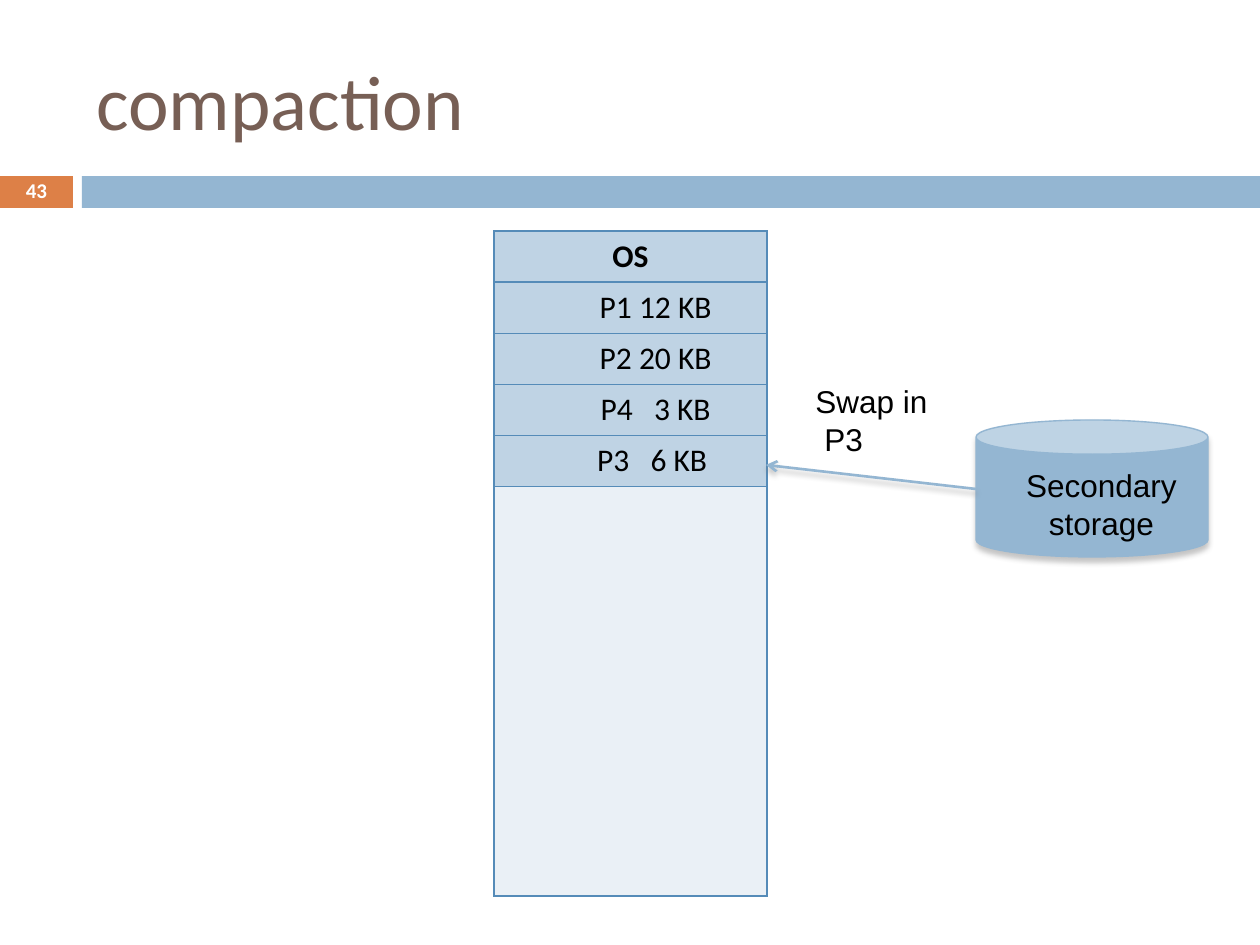
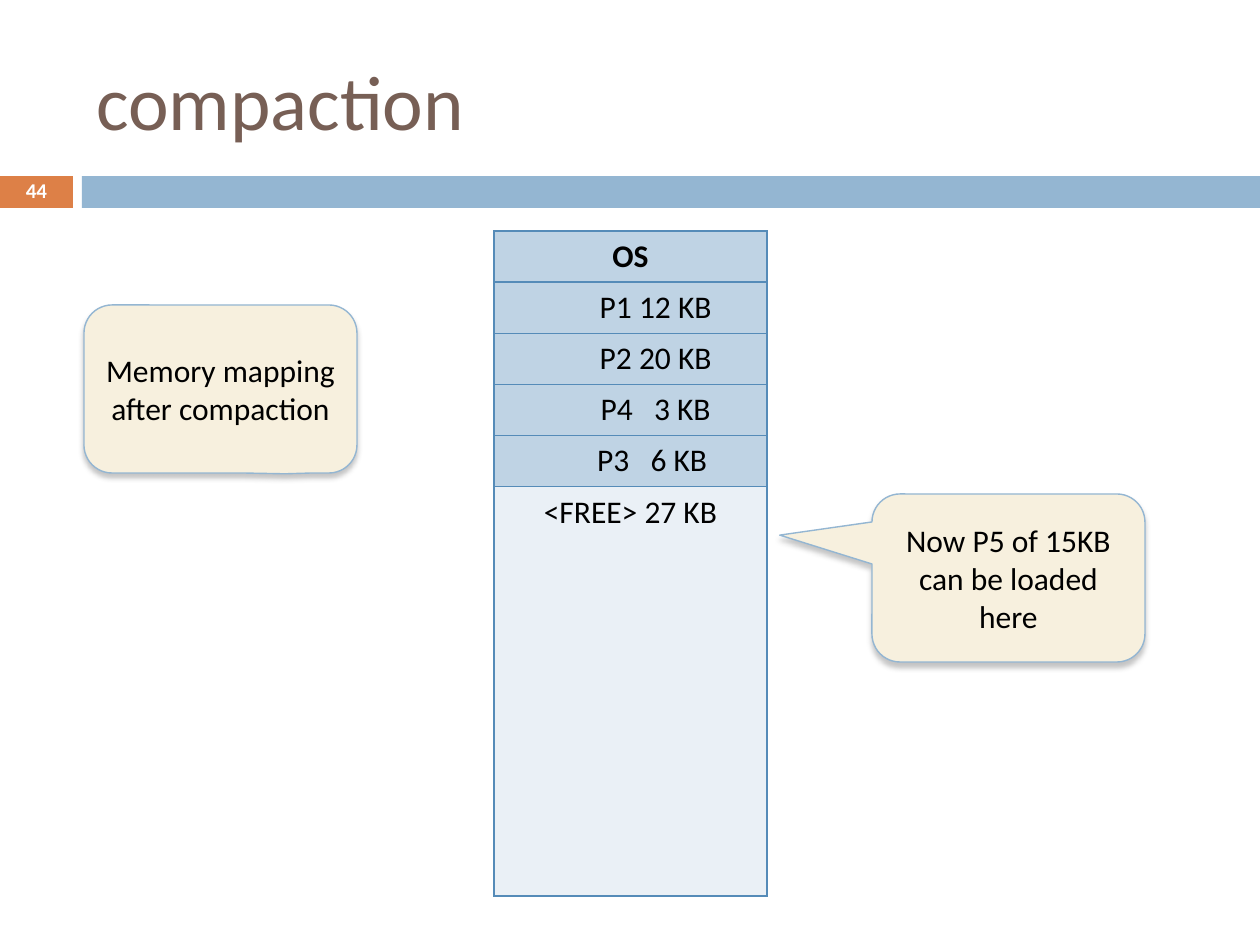
import pptx
import pptx.util
import pptx.oxml
from pptx.dml.color import RGBColor
from pptx.enum.shapes import MSO_CONNECTOR, MSO_SHAPE
from pptx.enum.text import MSO_ANCHOR, PP_ALIGN
from pptx.oxml.ns import qn

ORANGE = RGBColor(0xDD, 0x80, 0x47)
BLUE = RGBColor(0x94, 0xB6, 0xD2)
BROWN = RGBColor(0x77, 0x5F, 0x55)
CREAM = RGBColor(0xF7, 0xF0, 0xDE)
USED = RGBColor(0xBF, 0xD3, 0xE4)
FREE = RGBColor(0xEA, 0xF0, 0xF6)
BORDER = RGBColor(0x55, 0x8B, 0xB8)
BLACK = RGBColor(0, 0, 0)
WHITE = RGBColor(255, 255, 255)
NS = 'xmlns:a="http://schemas.openxmlformats.org/drawingml/2006/main"'
NO_STYLE = "{2D5ABB26-0587-4C30-8999-92F81FD0307C}"

TITLE = "compaction"
PROCESSES = [("P1", "12 KB", 50, 0), ("P2", "20 KB", 50, 0),
             ("P4", "3 KB", 50, 8), ("P3", "6 KB", 43, 8)]
ROWS = 13
MEMORY_BOX = (494, 231, 273, 665)
SLIDES = [
    dict(number=43, free="", swap=True, callouts=[]),
    dict(number=44, free="<FREE> 27 KB", swap=False, callouts=[
        ("Memory mapping after compaction", (84, 305, 273, 168), (0.236, 0.505)),
        ("Now P5 of 15KB can be loaded here", (872, 494, 273, 168), (-0.838, -0.255)),
    ]),
]


def px(n):
    return pptx.util.Emu(round(n * 914400 / 126))


def place(box):
    return [px(n) for n in box]


def style(p, size=18, color=BLACK, font="Calibri", bold=False, align=PP_ALIGN.CENTER):
    p.alignment = align
    for r in p.runs:
        r.font.size = pptx.util.Pt(size)
        r.font.name = font
        r.font.bold = bold
        r.font.color.rgb = color


def add_text(s, box, text, anchor=MSO_ANCHOR.TOP, **look):
    tf = s.shapes.add_textbox(*place(box)).text_frame
    tf.word_wrap = True
    tf.vertical_anchor = anchor
    tf.text = text
    for p in tf.paragraphs:
        style(p, **look)
    return tf


def add_shape(s, kind, box, fill, line=None):
    sp = s.shapes.add_shape(kind, *place(box))
    sp.shadow.inherit = False
    sp.fill.solid()
    sp.fill.fore_color.rgb = fill
    if line is None:
        sp.line.fill.background()
    else:
        sp.line.color.rgb = line
        sp.line.width = pptx.util.Pt(0.79)
    return sp


def add_shadow(sp):
    spPr = sp._element.spPr
    for old in spPr.findall(qn("a:effectLst")):
        spPr.remove(old)
    spPr.append(pptx.oxml.parse_xml(
        f'<a:effectLst {NS}><a:outerShdw blurRad="38100" dist="30480" dir="5400000" rotWithShape="0">'
        '<a:srgbClr val="808080"><a:alpha val="45000"/></a:srgbClr></a:outerShdw></a:effectLst>'))


def set_borders(cell, sides):
    tcPr = cell._tc.get_or_add_tcPr()
    for side in "LRTB":
        fill = (f'<a:solidFill><a:srgbClr val="{BORDER}"/></a:solidFill>'
                if side in sides else "<a:noFill/>")
        tcPr.append(pptx.oxml.parse_xml(f'<a:ln{side} {NS} w="12700">{fill}</a:ln{side}>'))


def add_frame(s, number):
    add_shape(s, MSO_SHAPE.RECTANGLE, (0, 176, 73, 32), ORANGE)
    add_shape(s, MSO_SHAPE.RECTANGLE, (82, 176, 1178, 32), BLUE)
    add_text(s, (84, 32, 1124, 136), TITLE, MSO_ANCHOR.MIDDLE,
             size=44, color=BROWN, align=PP_ALIGN.LEFT)
    tf = add_text(s, (0, 175, 73, 34), str(number), MSO_ANCHOR.MIDDLE,
                  size=12, color=WHITE, bold=True)
    tf.paragraphs[0].line_spacing = 0.8


def add_memory(s, free):
    table = s.shapes.add_table(ROWS, 1, *place(MEMORY_BOX)).table
    table.first_row = table.horz_banding = False
    table._tbl.tblPr.find(qn("a:tableStyleId")).text = NO_STYLE
    first_free = len(PROCESSES) + 1
    for i, row in enumerate(table.rows):
        row.height = px(MEMORY_BOX[3]) // ROWS
        cell = row.cells[0]
        used = i < first_free
        top = "T" if i <= first_free else ""
        bottom = "B" if used or i == ROWS - 1 else ""
        set_borders(cell, "LR" + top + bottom)
        cell.fill.solid()
        cell.fill.fore_color.rgb = USED if used else FREE
        p = cell.text_frame.paragraphs[0]
        if i == 0:
            p.text = "OS"
        elif used:
            name, size, indent, gap = PROCESSES[i - 1]
            cell.margin_left = px(13 + indent)
            for text in (name, " ", size):
                p.add_run().text = text
            p.runs[1].font._element.set("spc", str(gap * 100))
        elif i == first_free and free:
            p.text = free
        style(p, bold=i == 0)


def add_swap(s):
    add_shadow(add_shape(s, MSO_SHAPE.CAN, (976, 420, 232, 137), BLUE, BLUE))
    tf = add_text(s, (803, 376, 210, 89), "Swap in\nP3", font="Arial", align=PP_ALIGN.LEFT)
    tf.paragraphs[1]._p.get_or_add_pPr().set("marL", str(px(9)))
    add_text(s, (1012, 460, 179, 89), "Secondary\nstorage", font="Arial")
    arrow = s.shapes.add_connector(MSO_CONNECTOR.STRAIGHT, *place((976, 489, 766, 465)))
    arrow.line.color.rgb = BLUE
    arrow.line.width = pptx.util.Pt(1.5)
    arrow.line._get_or_add_ln().append(pptx.oxml.parse_xml(f'<a:tailEnd {NS} type="arrow"/>'))
    add_shadow(arrow)


def add_callout(s, text, box, tip):
    sp = add_shape(s, MSO_SHAPE.ROUNDED_RECTANGULAR_CALLOUT, box, CREAM, BLUE)
    for i, value in enumerate((*tip, 0.167)):
        sp.adjustments[i] = value
    add_shadow(sp)
    tf = sp.text_frame
    tf.word_wrap = True
    tf.vertical_anchor = MSO_ANCHOR.MIDDLE
    tf.text = text
    style(tf.paragraphs[0])


def main():
    prs = pptx.Presentation()
    prs.slide_width, prs.slide_height = px(1260), px(945)
    for content in SLIDES:
        s = prs.slides.add_slide(prs.slide_layouts[6])
        add_frame(s, content["number"])
        add_memory(s, content["free"])
        if content["swap"]:
            add_swap(s)
        for callout in content["callouts"]:
            add_callout(s, *callout)
    prs.save("out.pptx")


if __name__ == "__main__":
    main()
